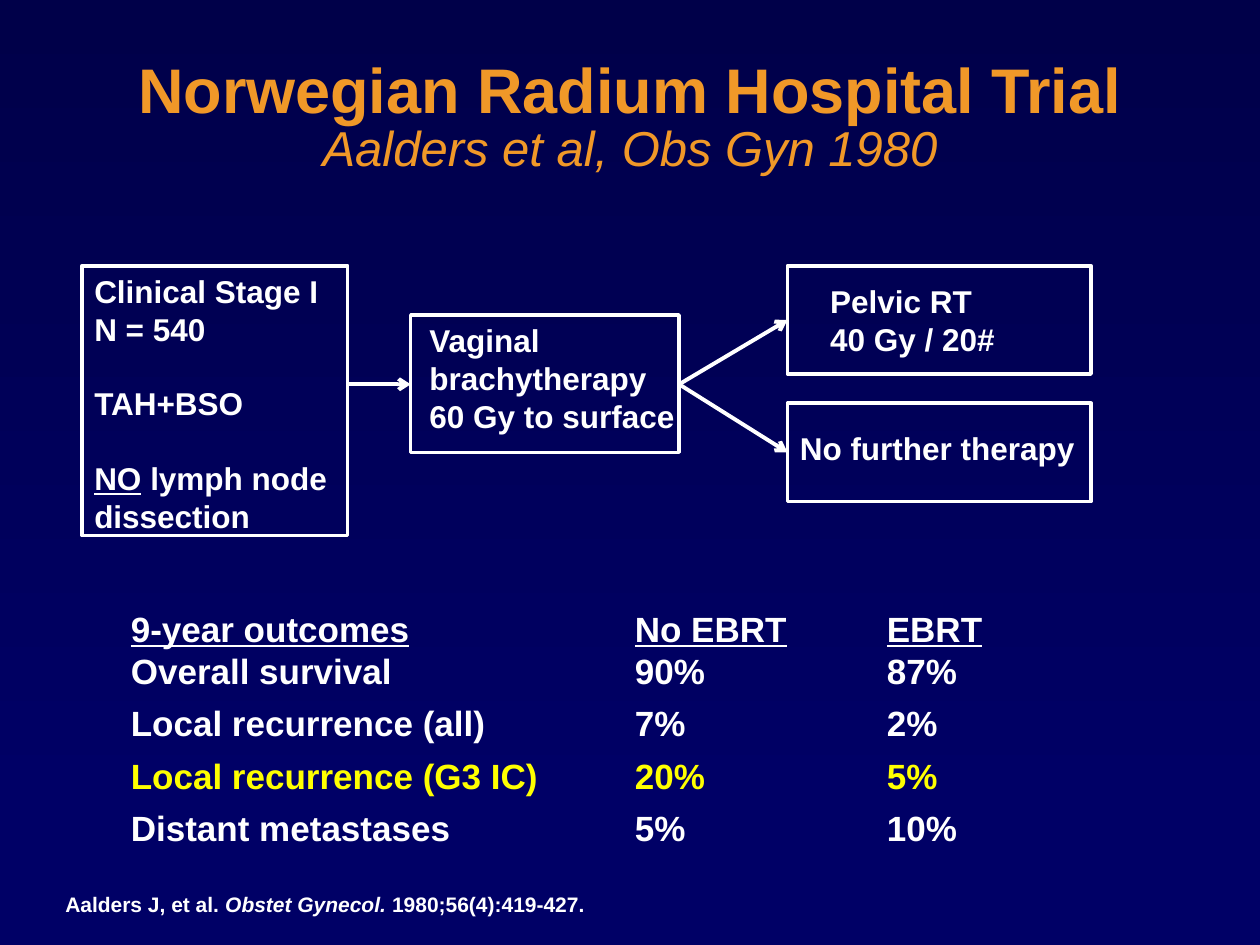
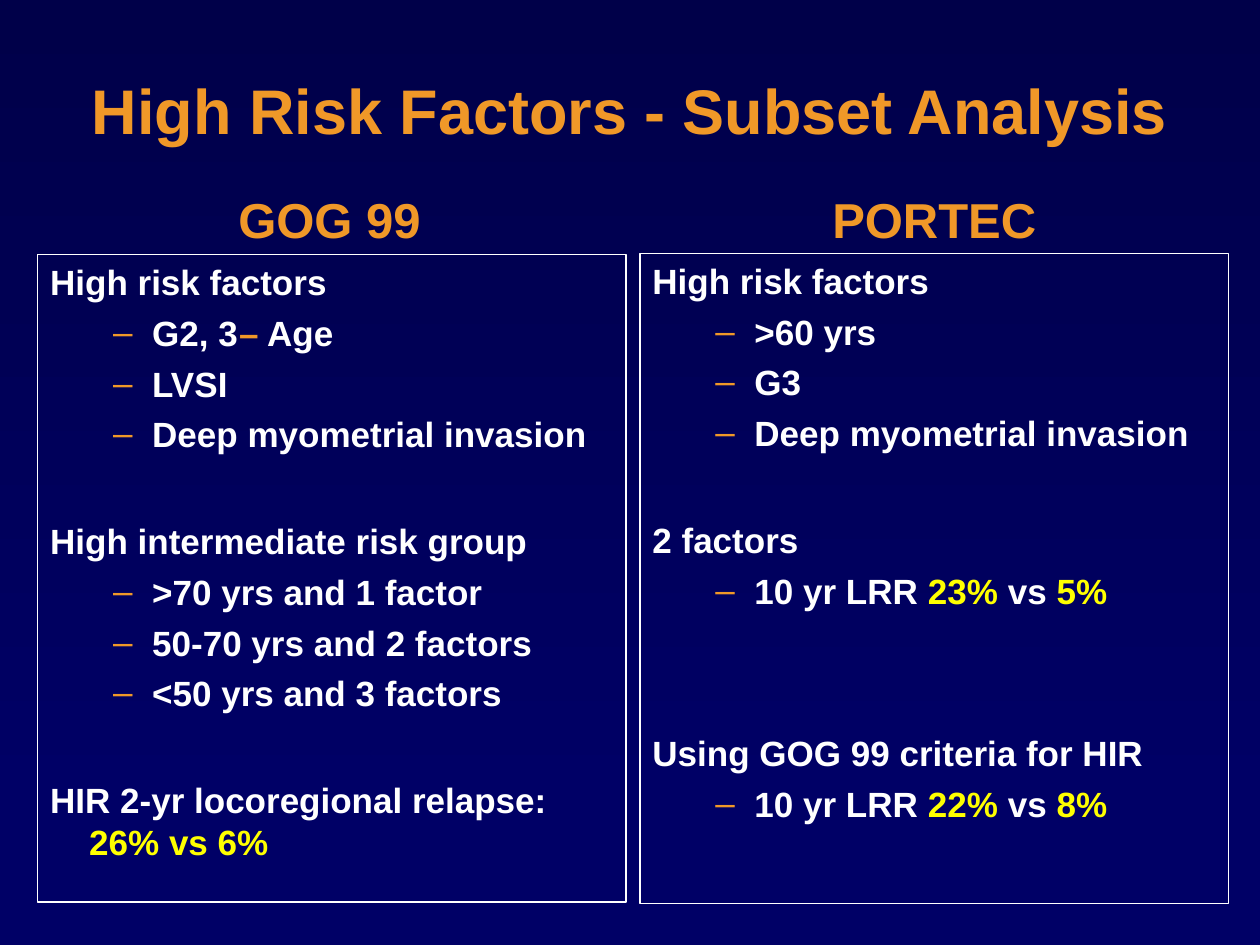
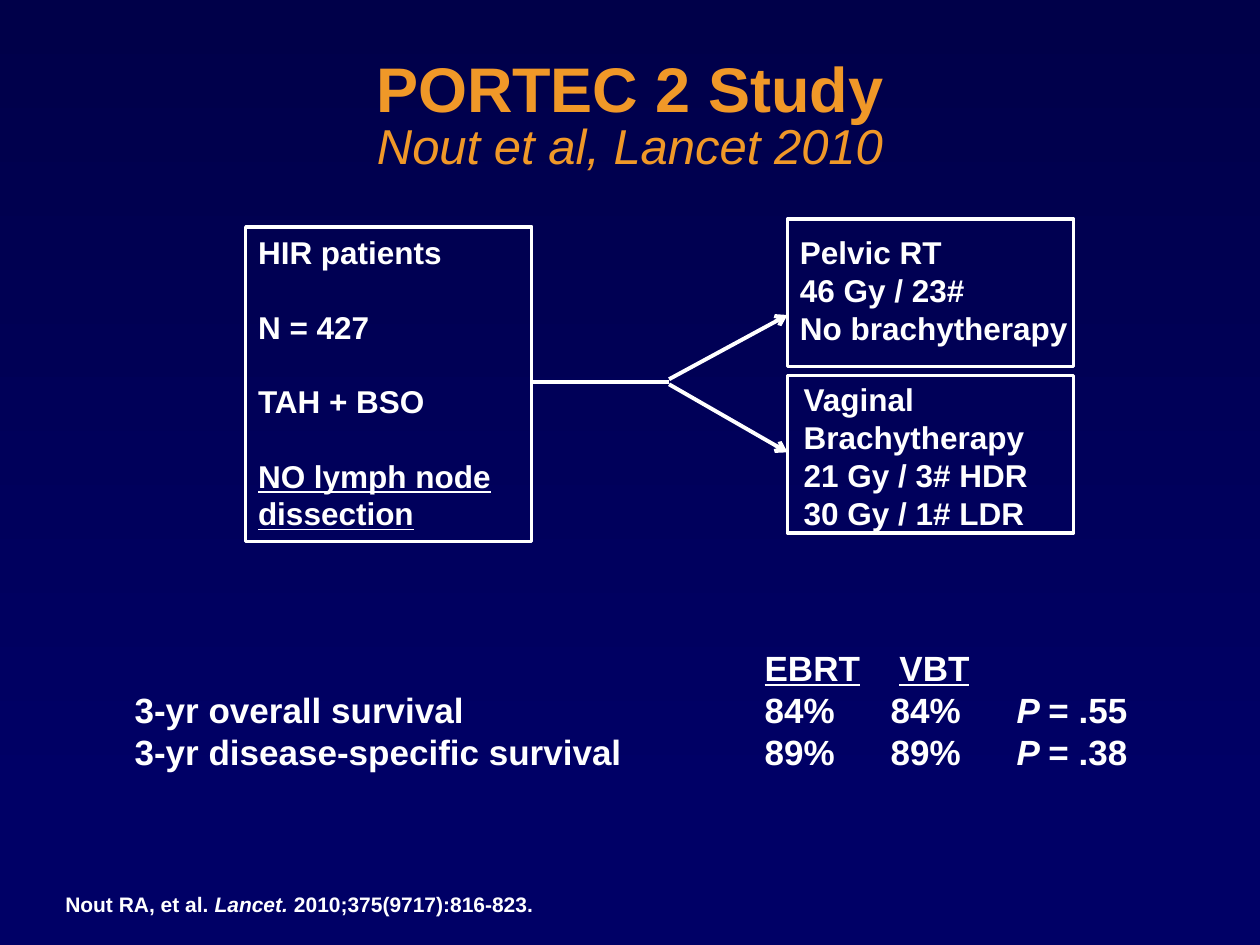
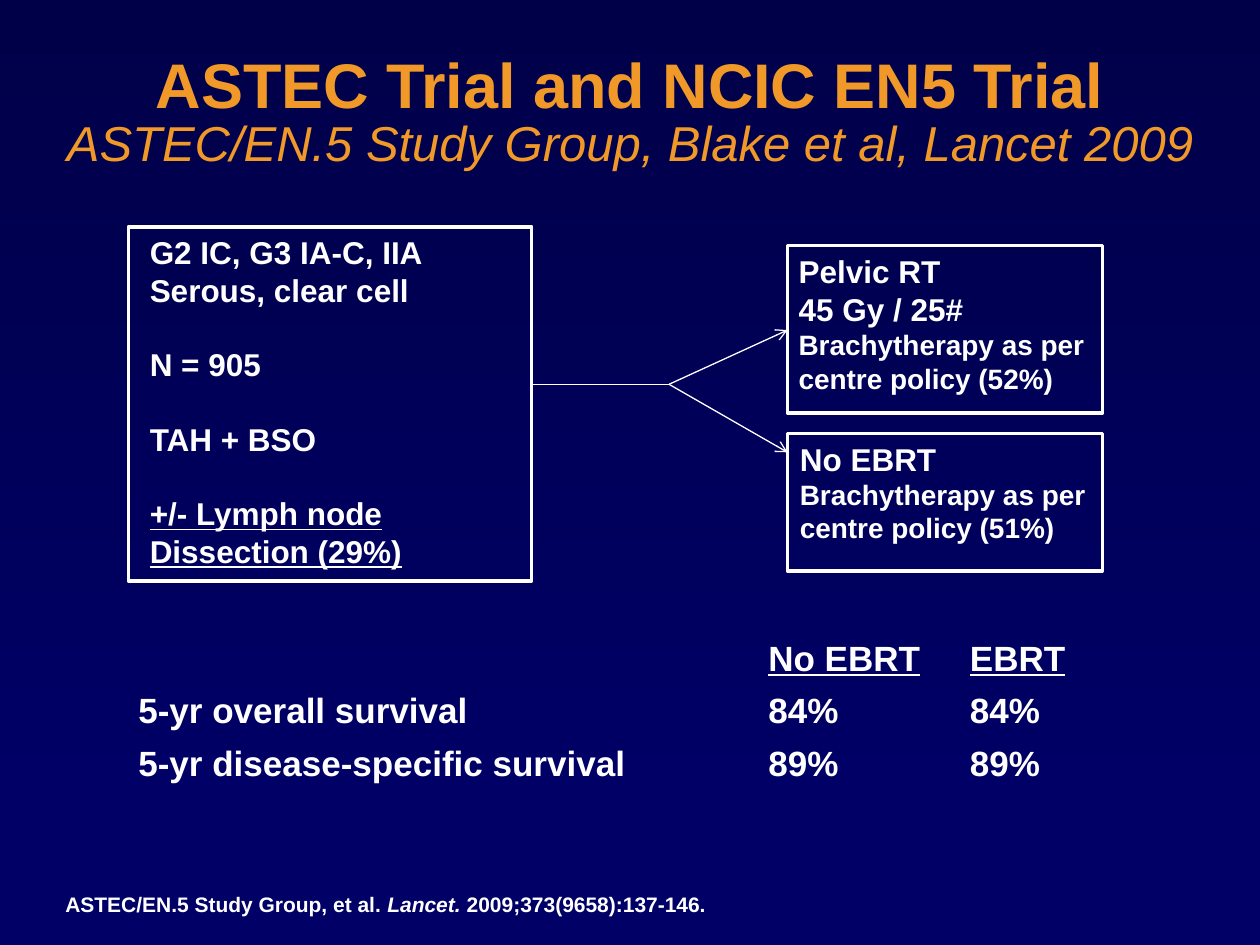
from lxml import etree
from pptx import Presentation
from pptx.dml.color import RGBColor
from pptx.enum.shapes import MSO_CONNECTOR, MSO_SHAPE
from pptx.enum.text import MSO_ANCHOR, PP_ALIGN
from pptx.oxml.ns import qn
from pptx.util import Inches, Pt

RECT, STRAIGHT = MSO_SHAPE.RECTANGLE, MSO_CONNECTOR.STRAIGHT
LEFT, CENTER = PP_ALIGN.LEFT, PP_ALIGN.CENTER
TOP, MIDDLE, BOTTOM = MSO_ANCHOR.TOP, MSO_ANCHOR.MIDDLE, MSO_ANCHOR.BOTTOM

FONT = "Arial"
NAVY, DARK_NAVY = "000066", "000049"
ORANGE, WHITE, YELLOW, BLACK = "F09828", "FFFFFF", "FFFF00", "000000"
GAP = 21           # points, one empty line of 18 pt text
INDENT = 0.31      # inches, hanging indent on the risk factor panels


def rgb(value):
    return RGBColor.from_string(value)


def add_xml(parent, tag, **attrs):
    return etree.SubElement(parent, qn(tag), attrs)


def para(*runs, before=0, after=0, tabs=(), size=None, indent=None, bullet=False):
    """One paragraph; a run is a string or (string, flags u, i, y, o)."""
    return dict(runs=runs, before=before, after=after, tabs=tabs, size=size,
                indent=indent, bullet=bullet)


def heading(*runs, before=0):
    return para(*runs, before=before, indent=INDENT)


def dash(*runs):
    return para(*runs, before=5, indent=0.5 + INDENT, bullet=True)


def rows(lines, tabs, after=0):
    return [para(*line, tabs=tabs, after=after) for line in lines]


class Deck:
    def __init__(self):
        self.prs = Presentation()
        self.prs.slide_width, self.prs.slide_height = Inches(10), Inches(7.5)
        self.s = None

    def new_slide(self, title, subtitle=None, top=0.32, height=1.25):
        self.s = self.prs.slides.add_slide(self.prs.slide_layouts[6])
        bg = self.s.background.fill
        bg.solid()
        bg.fore_color.rgb = rgb(NAVY)
        self.gradient((0, 0, 10, 6.42))
        self.title(title, subtitle, (0.37, top, 9.26, height))

    def rect(self, at):
        sp = self.s.shapes.add_shape(RECT, *map(Inches, at))
        sp.shadow.inherit = False
        return sp

    def gradient(self, at):
        sp = self.rect(at)
        sp.line.fill.background()
        sp.fill.gradient()
        sp.fill.gradient_angle = 270
        for stop, color in zip(sp.fill.gradient_stops, (DARK_NAVY, NAVY)):
            stop.color.rgb = rgb(color)
        for position, stop in enumerate(sp.fill.gradient_stops):
            stop.position = position

    def frame(self, at, width=2):
        sp = self.rect(at)
        sp.fill.background()
        sp.line.color.rgb = rgb(WHITE)
        sp.line.width = Pt(width)
        return sp

    def format_run(self, r, size, color=WHITE, flags="", bold=True):
        f = r.font
        f.name, f.size, f.bold = FONT, Pt(size), bold
        f.italic, f.underline = "i" in flags, "u" in flags
        f.color.rgb = rgb(YELLOW if "y" in flags else ORANGE if "o" in flags else color)

    def fill_text(self, sp, paras, size=18, color=WHITE, align=LEFT, anchor=TOP):
        tf = sp.text_frame
        tf.word_wrap = True
        tf.vertical_anchor = anchor
        for i, spec in enumerate(paras):
            if isinstance(spec, str):
                spec = para(spec)
            p = tf.paragraphs[0] if i == 0 else tf.add_paragraph()
            p.alignment = align
            p.space_before, p.space_after = Pt(spec["before"]), Pt(spec["after"])
            self.format_paragraph(p, spec)
            for run in spec["runs"]:
                text, flags = (run, "") if isinstance(run, str) else run
                if text == "\n":
                    p.add_line_break()
                    continue
                r = p.add_run()
                r.text = text
                self.format_run(r, spec["size"] or size, color, flags)

    def format_paragraph(self, p, spec):
        pPr = p._p.get_or_add_pPr()
        if spec["indent"]:
            pPr.set("marL", str(Inches(spec["indent"])))
            pPr.set("indent", str(-Inches(INDENT)))
        if spec["bullet"]:
            add_xml(add_xml(pPr, "a:buClr"), "a:srgbClr", val=ORANGE)
            add_xml(pPr, "a:buFont", typeface=FONT)
            add_xml(pPr, "a:buChar", char="–")
        if spec["tabs"]:
            tab_list = add_xml(pPr, "a:tabLst")
            for tab in spec["tabs"]:
                add_xml(tab_list, "a:tab", pos=str(Inches(tab)), algn="l")

    def text(self, at, paras, **style):
        sp = self.s.shapes.add_textbox(*map(Inches, at))
        self.fill_text(sp, paras, **style)

    def title(self, title, subtitle, at):
        tf = self.s.shapes.add_textbox(*map(Inches, at)).text_frame
        tf.word_wrap = True
        tf.vertical_anchor = MIDDLE
        p = tf.paragraphs[0]
        p.alignment, p.line_spacing = CENTER, 0.85
        r = p.add_run()
        r.text = title
        self.format_run(r, 36, ORANGE)
        if subtitle:
            p.add_line_break()
            r = p.add_run()
            r.text = subtitle
            self.format_run(r, 28, ORANGE, "i", bold=False)
        for r in p.runs:
            effects = etree.Element(qn("a:effectLst"))
            shadow = add_xml(effects, "a:outerShdw", dist="38100", dir="2700000")
            add_xml(shadow, "a:srgbClr", val=BLACK)
            r._r.rPr.find(qn("a:solidFill")).addnext(effects)

    def line(self, start, end, width=2.25, arrow=True):
        c = self.s.shapes.add_connector(STRAIGHT, *map(Inches, start + end))
        c.line.color.rgb = rgb(WHITE)
        c.line.width = Pt(width)
        spPr = c._element.spPr
        if arrow:
            add_xml(spPr.find(qn("a:ln")), "a:tailEnd", type="arrow")
        add_xml(spPr, "a:effectLst")

    def citation(self, authors, journal, issue):
        self.text((0.42, 7.03, 8.24, 0.3),
                  [para(authors + " ", (journal + " ", "i"), issue)], size=12)


def norwegian_trial(d):
    d.new_slide("Norwegian Radium Hospital Trial", "Aalders et al, Obs Gyn 1980")

    # Trial scheme
    d.text((0.65, 2.11, 2.27, 2.2), [
        "Clinical Stage I", "N = 540", para("TAH+BSO", before=GAP),
        para(("NO", "u"), " lymph node", before=GAP), "dissection"])
    d.text((3.31, 2.5, 2.23, 1.31), ["Vaginal brachytherapy", "60 Gy to surface"])
    d.text((6.49, 2.19, 2.26, 0.71), ["Pelvic RT", "40 Gy / 20#"])
    d.text((6.25, 3.36, 2.5, 0.4), ["No further therapy"])
    for at in ((0.65, 2.11, 2.11, 2.14), (3.26, 2.5, 2.13, 1.09),
               (6.25, 2.11, 2.41, 0.86), (6.25, 3.2, 2.41, 0.78)):
        d.frame(at)
    d.line((2.75, 3.05), (3.26, 3.05))
    for end_y in (2.54, 3.59):
        d.line((5.39, 3.05), (6.25, end_y))

    # Outcomes
    tabs = (4, 6)
    header = para(("9-year outcomes", "u"), "\t", ("No EBRT", "u"), "\t",
                  ("EBRT", "u"), tabs=tabs)
    d.text((0.94, 4.77, 7.97, 2.47), [header] + rows([
        ["Overall survival\t90%\t87%"],
        ["Local recurrence (all)\t7%\t2%"],
        [("Local recurrence (G3 IC)\t20%\t5%", "y")],
        ["Distant metastases\t5%\t10%"]], tabs, after=6), size=20)
    d.citation("Aalders J, et al.", "Obstet Gynecol.", "1980;56(4):419-427.")


def risk_factors(d):
    d.new_slide("High Risk Factors - Subset Analysis", top=0.4, height=1.03)
    gog = [
        heading("High risk factors"),
        dash("G2, 3\t", ("–", "o"), " Age"),
        dash("LVSI"),
        dash("Deep myometrial invasion"),
        heading("High intermediate risk group", before=37),
        dash(">70 yrs and 1 factor"),
        dash("50-70 yrs and 2 factors"),
        dash("<50 yrs and 3 factors"),
        heading("HIR 2-yr locoregional relapse:", "\n", ("26% vs 6%", "y"), before=37)]
    portec = [
        heading("High risk factors"),
        dash(">60 yrs"),
        dash("G3"),
        dash("Deep myometrial invasion"),
        heading("2 factors", before=37),
        dash("10 yr LRR ", ("23% ", "y"), "vs ", ("5%", "y")),
        heading("Using GOG 99 criteria for HIR", before=69),
        dash("10 yr LRR ", ("22% ", "y"), "vs ", ("8%", "y"))]
    for name, name_at, panel_at, paras in (
            ("GOG 99", (0.25, 1.4, 4.73, 0.62), (0.3, 2.02, 4.67, 5.14), gog),
            ("PORTEC", (5.08, 1.4, 4.67, 0.62), (5.08, 2.01, 4.67, 5.16), portec)):
        d.text(name_at, [name], size=28, color=ORANGE, align=CENTER, anchor=BOTTOM)
        d.fill_text(d.frame(panel_at, 0.75), paras, size=20)


def portec_2(d):
    d.new_slide("PORTEC 2 Study", "Nout et al, Lancet 2010", top=0.31)

    # Trial scheme
    d.text((1.95, 1.8, 2.27, 2.52), [
        "HIR patients", para("N = 427", before=GAP), para("TAH + BSO", before=GAP),
        para(("NO lymph node", "u"), before=GAP), para(("dissection", "u"))])
    d.text((6.25, 1.8, 2.42, 1.01), ["Pelvic RT", "46 Gy / 23#", "No brachytherapy"])
    d.text((6.28, 2.97, 2.19, 1.62),
           ["Vaginal Brachytherapy 21 Gy / 3# HDR", "30 Gy / 1# LDR"])
    for at in ((6.25, 1.74, 2.27, 1.17), (6.25, 2.98, 2.27, 1.25),
               (1.95, 1.8, 2.27, 2.5)):
        d.frame(at)
    d.line((5.31, 3.01), (6.25, 2.5))
    d.line((5.31, 3.05), (6.25, 3.59))
    d.line((5.31, 3.03), (4.22, 3.03), arrow=False)

    # Outcomes
    header = para("\t", ("EBRT", "u"), "\t", ("VBT", "u"), tabs=(5, 6.07))
    d.text((0.97, 5.08, 8.5, 2.12), [header] + rows([
        ["3-yr overall survival\t84%\t84%\t", ("P ", "i"), "= .55"],
        ["3-yr disease-specific survival\t89%\t89%\t", ("P ", "i"), "= .38"]],
        (5, 6, 7)), size=20)
    d.citation("Nout RA, et al.", "Lancet.", "2010;375(9717):816-823.")


def astec(d):
    d.new_slide("ASTEC Trial and NCIC EN5 Trial",
                "ASTEC/EN.5 Study Group, Blake et al, Lancet 2009", top=0.28)

    # Trial scheme
    d.text((1.09, 1.8, 3.12, 2.83), [
        "G2 IC, G3 IA-C, IIA", "Serous, clear cell", para("N = 905", before=GAP),
        para("TAH + BSO", before=GAP), para(("+/- Lymph node", "u"), before=GAP),
        para(("Dissection (29%)", "u"))])
    d.text((6.24, 1.95, 2.66, 1.85), [
        "Pelvic RT", "45 Gy / 25#",
        para("Brachytherapy as per centre policy (52%)", size=16)])
    d.text((6.25, 3.44, 2.5, 0.94), [
        "No EBRT", para("Brachytherapy as per centre policy (51%)", size=16)])
    for at in ((6.25, 1.95, 2.5, 1.33), (6.25, 3.44, 2.5, 1.09),
               (1.02, 1.8, 3.2, 2.81)):
        d.frame(at)
    for end_y in (2.62, 3.59):
        d.line((5.31, 3.05), (6.25, end_y), width=0.75)
    d.line((5.31, 3.05), (4.22, 3.05), width=0.75, arrow=False)

    # Outcomes
    d.text((1, 5, 7.97, 2.04), rows([
        ["\t", ("No EBRT", "u"), "\t", ("EBRT", "u")],
        ["5-yr overall survival\t84%\t84%"],
        ["5-yr disease-specific survival\t89%\t89%"]], (5, 6.6), after=6), size=20)
    d.citation("ASTEC/EN.5 Study Group, et al.", "Lancet.", "2009;373(9658):137-146.")


def main():
    d = Deck()
    for build in (norwegian_trial, risk_factors, portec_2, astec):
        build(d)
    d.prs.save("out.pptx")


if __name__ == "__main__":
    main()
